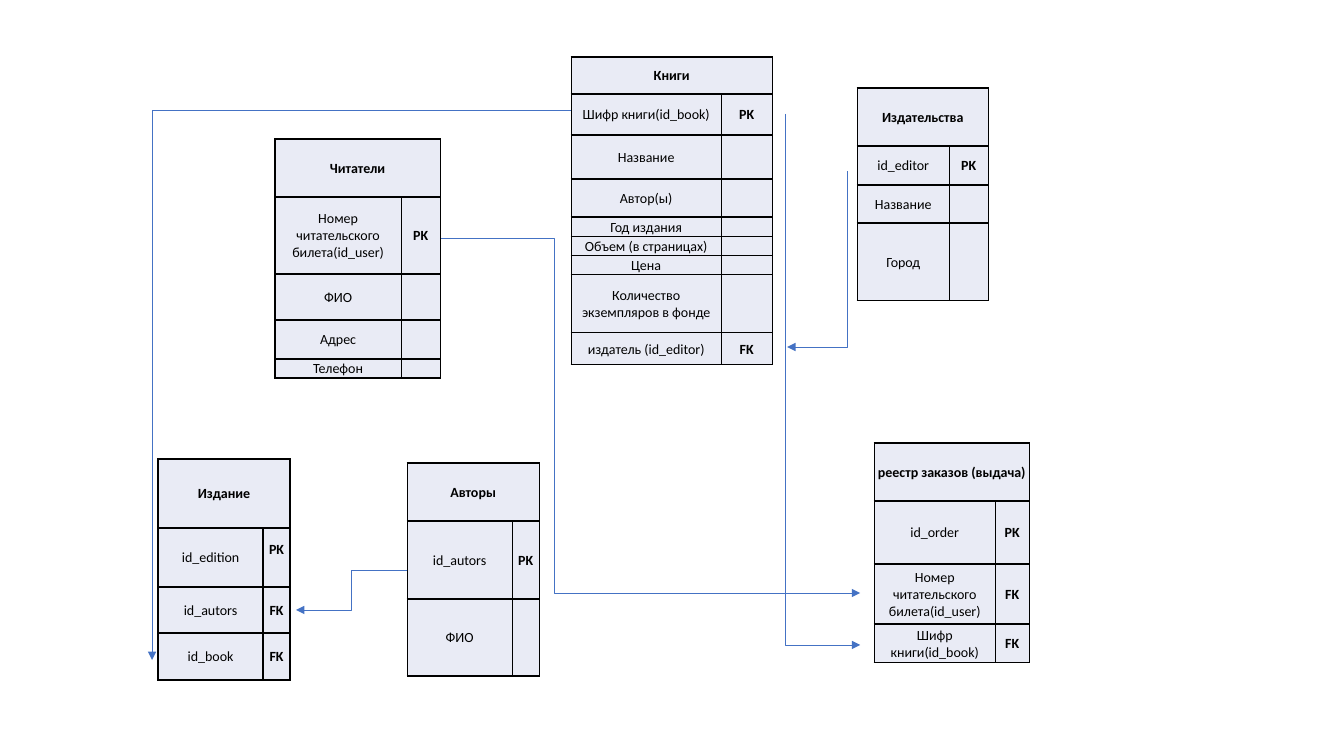
from pptx import Presentation
from pptx.dml.color import RGBColor
from pptx.enum.shapes import MSO_CONNECTOR
from pptx.enum.text import MSO_ANCHOR, PP_ALIGN
from pptx.oxml import parse_xml
from pptx.oxml.ns import nsdecls, qn
from pptx.util import Inches, Pt

PIXEL = 914400 / 100.8
FONT = {"name": "Calibri", "size": Pt(10)}
INK, PANEL, ARROW = "000000", "E9EBF5", "4472C4"

ENTITIES = [
    ((275, 139), (126, 39), "Читатели", 58, [
        ("Номер читательского билета(id_user)", "PK", 77),
        ("ФИО", "", 46), ("Адрес", "", 39), ("Телефон", "", 19)]),
    ((571, 57), (150, 51), "Книги", 37, [
        ("Шифр книги(id_book)", "PK", 41), ("Название", "", 44),
        ("Автор(ы)", "", 38), ("Год издания", "", 20),
        ("Объем (в страницах)", "", 19), ("Цена", "", 19),
        ("Количество экземпляров в фонде", "", 58),
        ("издатель (id_editor)", "FK", 32)]),
    ((857, 88), (92, 39), "Издательства", 58, [
        ("id_editor", "PK", 39), ("Название", "", 38), ("Город", "", 78)]),
    ((407, 463), (105, 27), "Авторы", 58, [
        ("id_autors", "PK", 78), ("ФИО", "", 77)]),
    ((874, 443), (121, 34), "реестр заказов (выдача)", 58, [
        ("id_order", "PK", 63),
        ("Номер читательского билета(id_user)", "FK", 60),
        ("Шифр книги(id_book)", "FK", 39)]),
    ((158, 459), (105, 27), "Издание", 69, [
        ("id_edition", "PK", 59), ("id_autors", "FK", 46),
        ("id_book", "FK", 47)]),
]
RAISED_KEY = ("id_edition", 17)

RELATIONS = [
    ((441, 238), (860, 593), 0, 0.27),
    ((785, 114), (860, 645), 270, 1),
    ((407, 570), (296, 610), 0, 0.5),
    ((571, 110), (152, 660), 90, 0),
    ((847, 171), (787, 347), 90, 1),
]


def px(length):
    """Turn pixels into EMU."""
    return round(length * PIXEL)


def color(code):
    """Turn a hex string into a colour."""
    return RGBColor.from_string(code)


def apply_format(target, values):
    """Set every attribute named in a dict of format values."""
    for name, value in values.items():
        setattr(target, name, value)


def add_borders(cell):
    """Rule all four sides of a cell."""
    for side in "LRTB":
        cell._tc.get_or_add_tcPr().append(parse_xml(
            f'<a:ln{side} {nsdecls("a")} w="12700"><a:solidFill>'
            f'<a:srgbClr val="{INK}"/></a:solidFill></a:ln{side}>'))


def fill_cell(cell, text, bold, lift=0):
    """Format one cell and write its text, raised by a bottom margin."""
    apply_format(cell, {
        "margin_left": px(1), "margin_right": px(1), "margin_top": px(1),
        "margin_bottom": px(lift), "vertical_anchor": MSO_ANCHOR.MIDDLE})
    add_borders(cell)
    cell.fill.solid()
    cell.fill.fore_color.rgb = color(PANEL)
    para = cell.text_frame.paragraphs[0]
    para.alignment = PP_ALIGN.CENTER
    if text:
        span = para.add_run()
        span.text = text
        apply_format(span.font, {**FONT, "bold": bold})
        span.font.color.rgb = color(INK)
    else:
        para._p.get_or_add_endParaRPr().set("sz", str(int(FONT["size"].pt * 100)))


def draw_entity(page, corner, widths, title, title_height, fields):
    """Draw one database table with a merged title row and key column."""
    heights = [title_height] + [height for _, _, height in fields]
    box = [px(value) for value in (*corner, sum(widths), sum(heights))]
    table = page.shapes.add_table(len(heights), len(widths), *box).table
    apply_format(table, {"first_row": False, "horz_banding": False})
    for column, width in zip(table.columns, widths):
        column.width = px(width)
    for row, height in zip(table.rows, heights):
        row.height = px(height)
    table.cell(0, 0).merge(table.cell(0, 1))
    fill_cell(table.cell(0, 0), title, True)
    fill_cell(table.cell(0, 1), "", True)
    for index, (label, key, _) in enumerate(fields, 1):
        fill_cell(table.cell(index, 0), label, False)
        lift = RAISED_KEY[1] if label == RAISED_KEY[0] else 0
        fill_cell(table.cell(index, 1), key, True, lift)


def turn_back(point, center, rotation):
    """Undo a quarter turn of a point about a centre."""
    if not rotation:
        return point
    sign = 1 if rotation == 90 else -1
    across, down = point[0] - center[0], point[1] - center[1]
    return center[0] + sign * down, center[1] - sign * across


def draw_relation(page, start, end, rotation, bend):
    """Draw an elbow arrow that bends at a share of its length."""
    center = [(first + last) / 2 for first, last in zip(start, end)]
    ends = [px(value) for point in (start, end)
            for value in turn_back(point, center, rotation)]
    arrow = page.shapes.add_connector(MSO_CONNECTOR.ELBOW, *ends)
    apply_format(arrow.line, {"width": Pt(0.5)})
    arrow.line.color.rgb = color(ARROW)
    properties = arrow._element.spPr
    if rotation:
        properties.find(qn("a:xfrm")).set("rot", str(rotation * 60000))
    guides = properties.find(qn("a:prstGeom")).find(qn("a:avLst"))
    guides.append(parse_xml(
        f'<a:gd {nsdecls("a")} name="adj1" fmla="val {round(bend * 100000)}"/>'))
    properties.find(qn("a:ln")).append(
        parse_xml(f'<a:tailEnd {nsdecls("a")} type="triangle"/>'))
    properties.append(parse_xml(f'<a:effectLst {nsdecls("a")}/>'))


def draw_schema(page):
    """Draw all entities and the relations between them."""
    for entity in ENTITIES:
        draw_entity(page, *entity)
    for relation in RELATIONS:
        draw_relation(page, *relation)


def main():
    """Build and save the deck."""
    deck = Presentation()
    apply_format(deck, {"slide_width": Inches(13.33), "slide_height": Inches(7.5)})
    draw_schema(deck.slides.add_slide(deck.slide_layouts[6]))
    deck.save("out.pptx")


main()
